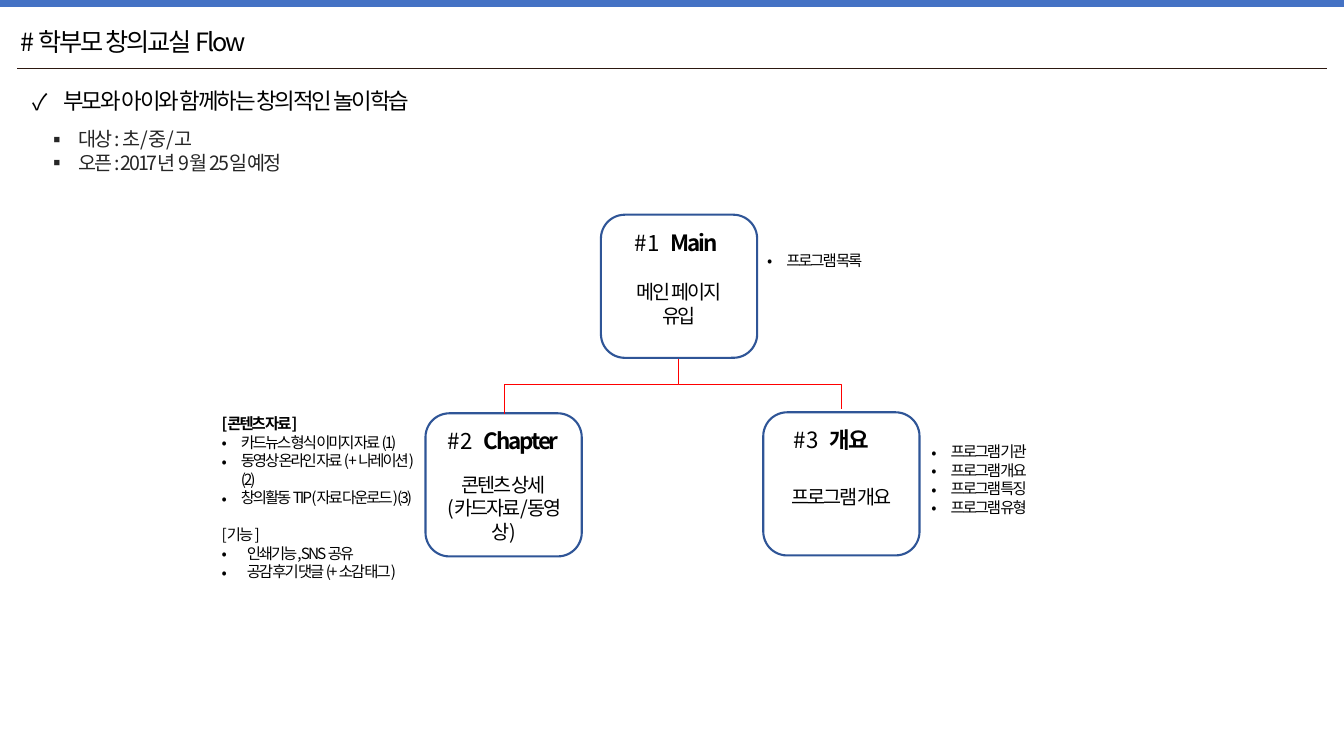
from lxml import etree
from pptx import Presentation
from pptx.dml.color import RGBColor
from pptx.enum.shapes import MSO_CONNECTOR, MSO_SHAPE
from pptx.enum.text import MSO_AUTO_SIZE, PP_ALIGN
from pptx.oxml.ns import qn
from pptx.util import Inches, Pt

RECT = MSO_SHAPE.RECTANGLE
ROUND = MSO_SHAPE.ROUNDED_RECTANGLE
STRAIGHT = MSO_CONNECTOR.STRAIGHT
ELBOW = MSO_CONNECTOR.ELBOW
GROW = MSO_AUTO_SIZE.SHAPE_TO_FIT_TEXT
LEFT = PP_ALIGN.LEFT
CENTER = PP_ALIGN.CENTER

COLORS = {"band": "4472C4", "rule": "2C1810", "ink": "000000",
          "soft": "262626", "edge": "2F5597", "link": "FF0000"}
FONT = "Noto Sans CJK KR"
COLS, ROWS, CELL = 133.3, 75, 0.1


def grid(*cells):
    return [Inches(cell * CELL) for cell in cells]


def color(name):
    return RGBColor.from_string(COLORS[name])


def write(para, text, size=11, ink="ink", bold=False):
    run = para.add_run()
    run.text = text
    font = run.font
    font.size, font.bold, font.name = Pt(size), bold, FONT
    font.color.rgb = color(ink)
    props = run._r.get_or_add_rPr()
    props.set("spc", "-150")
    etree.SubElement(props, qn("a:ea")).set("typeface", FONT)


class Board:
    def __init__(self, deck):
        self.slide = deck.slides.add_slide(deck.slide_layouts[6])
        self.shapes = self.slide.shapes

    def box(self, kind, *place, fill=None, edge=None):
        shape = self.shapes.add_shape(kind, *grid(*place))
        shape.shadow.inherit = False
        if fill:
            shape.fill.solid()
            shape.fill.fore_color.rgb = color(fill)
        else:
            shape.fill.background()
        if edge:
            shape.line.color.rgb = color(edge)
            shape.line.width = Pt(1.5)
        else:
            shape.line.fill.background()

    def line(self, *ends, kind=STRAIGHT, ink="link", turn=0, form=None):
        link = self.shapes.add_connector(kind, *grid(*ends))
        link.line.color.rgb = color(ink)
        link.line.width = Pt(0.5)
        props = link._element.spPr
        etree.SubElement(props, qn("a:effectLst"))
        if turn:
            props.find(qn("a:xfrm")).set("rot", str(turn * 60000))
        if form:
            props.find(qn("a:prstGeom")).set("prst", form)

    def text(self, *place):
        frame = self.shapes.add_textbox(*grid(*place)).text_frame
        frame.word_wrap = True
        frame.auto_size = GROW
        return frame

    def lines(self, place, texts, align=LEFT, mark=None, hang=1.9, **style):
        frame = self.text(*place)
        self.fill(frame, texts, align, mark, hang, **style)
        return frame

    def fill(self, frame, texts, align=LEFT, mark=None, hang=1.9, gap=0, **style):
        for text in texts:
            first = frame.paragraphs[0]
            para = frame.add_paragraph() if first.runs else first
            para.alignment = align
            if gap:
                para.space_before = Pt(gap)
            if mark:
                props = para._p.get_or_add_pPr()
                inch = grid(hang)[0]
                props.set("marL", str(inch))
                props.set("indent", str(-inch))
                etree.SubElement(props, qn("a:buFont")).set("typeface", FONT)
                etree.SubElement(props, qn("a:buChar")).set("char", mark)
            write(para, text, **style)

    def head(self, place, label, name):
        para = self.text(*place).paragraphs[0]
        tabs = etree.SubElement(para._p.get_or_add_pPr(), qn("a:tabLst"))
        stop = etree.SubElement(tabs, qn("a:tab"))
        stop.set("pos", str(grid(3.6)[0]))
        stop.set("algn", "l")
        write(para, label + "\t", size=16)
        write(para, name, size=16, bold=True)


deck = Presentation()
deck.slide_width, deck.slide_height = grid(COLS, ROWS)
board = Board(deck)

board.box(RECT, 0, 0, COLS, 0.7, fill="band")
board.line(1.7, 6.8, 131.6, 6.8, ink="rule")
board.lines((1.1, 2.1, 80.5, 4), ["# 학부모 창의교실 Flow"], size=18)
board.lines((3.7, 12.1, 25.9, 5.7),
            ["대상 : 초/중/고", "오픈 : 2017년 9월 25일 예정"],
            mark="▪", hang=3.1, size=14, ink="soft")
board.lines((2.2, 8.2, 54.9, 3.7), ["부모와 아이와 함께하는 창의적인 놀이학습"],
            mark="✓", hang=3.1, size=16)

WIDE, HIGH = 15.5, 14.2
NODES = [
    (59.6, 21.3, 2.3, "# 1", "Main", 6, ["메인 페이지", "유입"]),
    (42.2, 41, 1.2, "# 2", "Chapter", 5.4, ["콘텐츠 상세", "(카드자료/동영상)"]),
    (75.7, 40.9, 2, "# 3", "개요", 6.7, ["프로그램 개요"]),
]
for left, top, shift, label, name, drop, body in NODES:
    board.box(ROUND, left, top, WIDE, HIGH, edge="edge")
    board.lines((left, top + drop, WIDE, 2.9 * len(body)), body,
                align=CENTER, size=14)
    board.head((left + shift, top + 0.9, WIDE - shift + 1, 3.7), label, name)

board.line(77.8, 30, 72.9, 46.2, kind=ELBOW, turn=270)
board.line(67.3, 38.1, 50, 41.1, kind=ELBOW, form="bentConnector2")

board.lines((75.1, 24.4, 12.1, 2.9), ["프로그램 목록"], mark="•")
board.lines((91.4, 43.4, 21.2, 8.4),
            ["프로그램 " + part for part in ("기관", "개요", "특징", "유형")],
            mark="•")

notes = board.lines((21, 40.6, 21.2, 15.8), ["[콘텐츠 자료]"], bold=True)
board.fill(notes, ["카드뉴스 형식 이미지 자료 (1)",
                   "동영상 온라인 자료 ( + 나레이션)(2)",
                   "창의활동 TIP (자료 다운로드) (3)"], mark="•")
board.fill(notes, ["[기능 ]"], gap=13.2)
board.fill(notes, ["인쇄기능, SNS 공유", "공감 후기 댓글 (+ 소감 태그)"],
           mark="•", hang=2.5)

deck.save("out.pptx")
